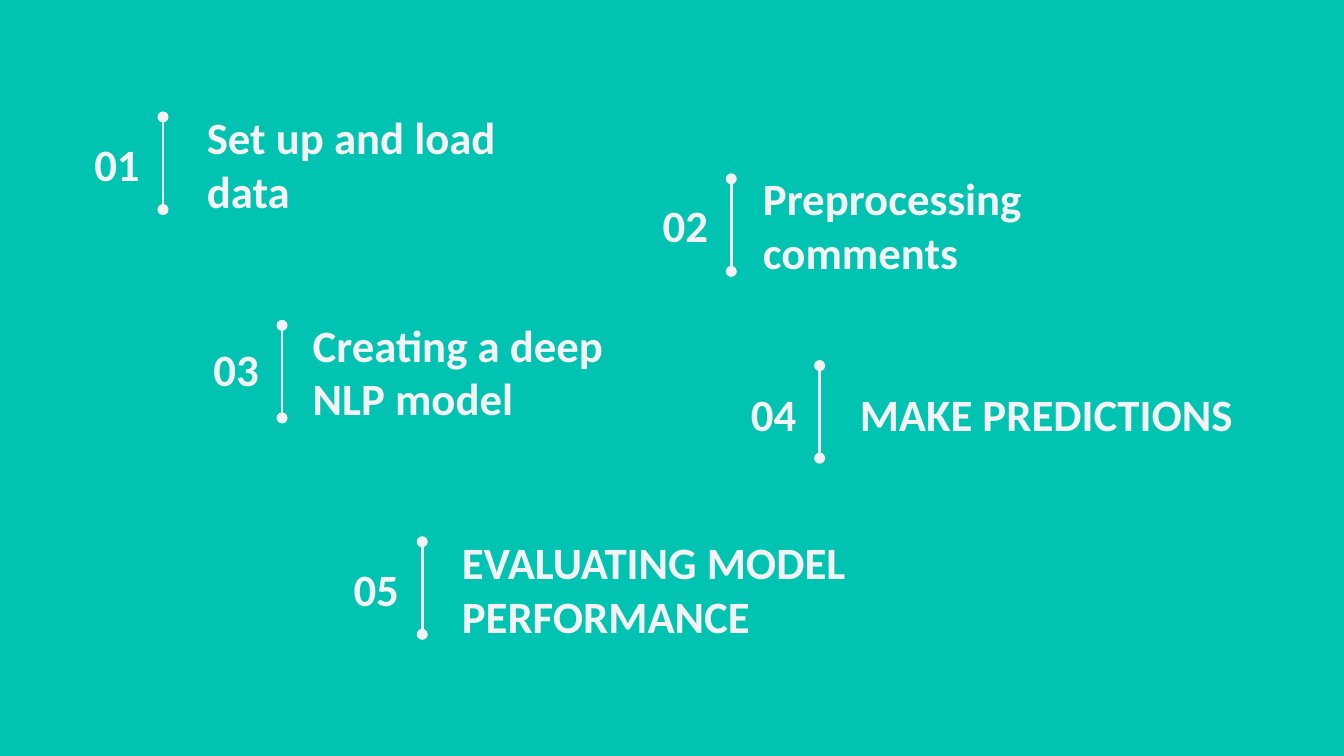
"""Build an agenda slide with five numbered steps."""
from dataclasses import dataclass

from lxml.etree import SubElement
from pptx import Presentation
from pptx.dml.color import RGBColor
from pptx.enum.shapes import MSO_CONNECTOR
from pptx.enum.text import MSO_ANCHOR, PP_ALIGN
from pptx.oxml.ns import qn
from pptx.slide import Slide
from pptx.util import Cm, Pt

TEAL = "00C3B1"
PALE = "F3F3F3"
BOX_HEIGHT = 1.17
NUMBER_WIDTH = 1.68
NUMBER_OFFSET = 1.87
DIVIDER_HEIGHT = 1.75
INSET = 0.25


@dataclass
class Step:
    number: str
    title: str
    divider_left: float
    divider_top: float
    title_left: float
    title_width: float
    title_top: float
    number_top: float


STEPS = [
    Step("01", "Set up and load data", 3.08, 2.21, 3.66, 6.5, 2.51, 2.51),
    Step("02", "Preprocessing comments", 13.82, 3.38, 14.17, 6.5, 3.66, 3.66),
    Step("03", "Creating a deep NLP model", 5.33, 6.15, 5.66, 6.99, 6.43, 6.38),
    Step("04", "MAKE PREDICTIONS", 15.49, 6.91, 16, 8.2, 7.24, 7.24),
    Step("05", "EVALUATING MODEL PERFORMANCE", 7.98, 10.24, 8.48, 8.2, 10.54, 10.54),
]


def color(value: str) -> RGBColor:
    return RGBColor.from_string(value)


def add_label(slide: Slide, text: str, left: float, top: float, width: float,
              alignment: PP_ALIGN = PP_ALIGN.LEFT) -> None:
    shape = slide.shapes.add_textbox(Cm(left), Cm(top), Cm(width), Cm(BOX_HEIGHT))
    frame = shape.text_frame
    frame.word_wrap = True
    frame.vertical_anchor = MSO_ANCHOR.MIDDLE
    frame.margin_left = frame.margin_right = Cm(INSET)
    frame.margin_top = frame.margin_bottom = Cm(INSET)
    paragraph = frame.paragraphs[0]
    paragraph.text = text
    paragraph.alignment = alignment
    paragraph.font.name = "Calibri"
    paragraph.font.size = Pt(24)
    paragraph.font.bold = True
    paragraph.font.color.rgb = color(PALE)


def add_divider(slide: Slide, left: float, top: float) -> None:
    connector = slide.shapes.add_connector(
        MSO_CONNECTOR.STRAIGHT, Cm(left), Cm(top), Cm(left), Cm(top + DIVIDER_HEIGHT))
    connector.line.color.rgb = color(PALE)
    connector.line.width = Pt(1.5)
    properties = connector.line._get_or_add_ln()
    for end in ("a:headEnd", "a:tailEnd"):
        SubElement(properties, qn(end), type="oval")
    SubElement(connector._element.spPr, qn("a:effectLst"))


def add_step(slide: Slide, step: Step) -> None:
    add_label(slide, step.number, step.divider_left - NUMBER_OFFSET,
              step.number_top, NUMBER_WIDTH, PP_ALIGN.RIGHT)
    add_divider(slide, step.divider_left, step.divider_top)
    add_label(slide, step.title, step.title_left, step.title_top, step.title_width)


def main() -> None:
    presentation = Presentation()
    presentation.slide_width = Cm(25.4)
    presentation.slide_height = Cm(14.29)
    slide = presentation.slides.add_slide(presentation.slide_layouts[6])
    slide.background.fill.solid()
    slide.background.fill.fore_color.rgb = color(TEAL)
    for step in STEPS:
        add_step(slide, step)
    presentation.save("out.pptx")


if __name__ == "__main__":
    main()
